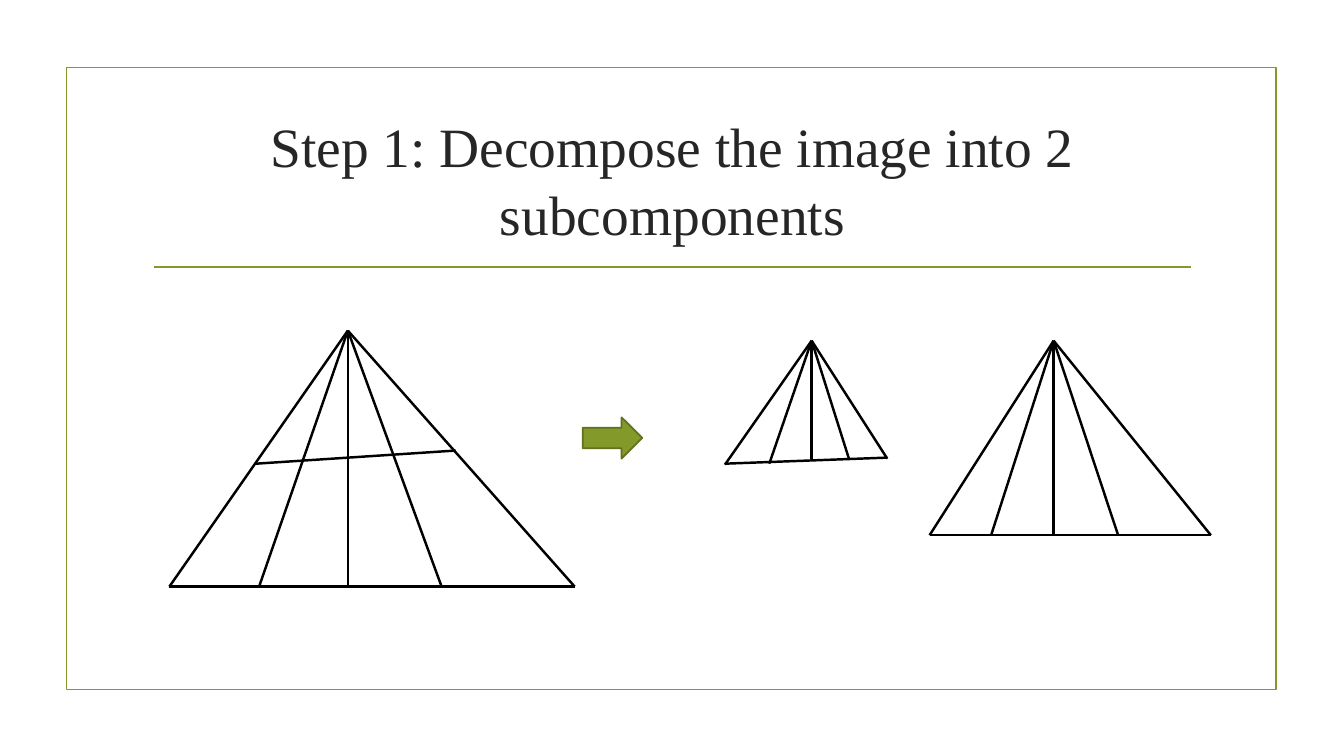
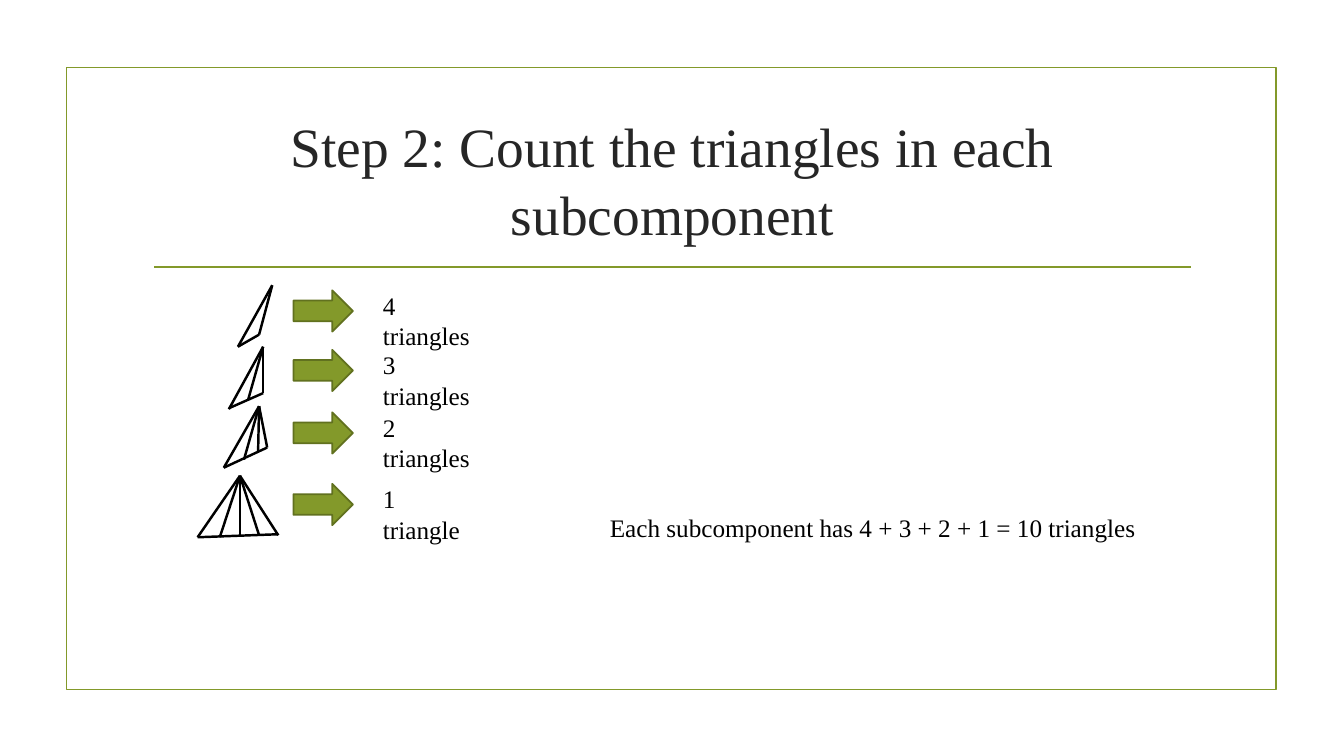
import pptx
import pptx.util
import pptx.dml.color
import pptx.enum.shapes
import pptx.enum.text
import pptx.oxml

PX = 9144  # 100 px to the inch
FONT = "Times New Roman"
HUES = {"green": "83992A", "edge": "61711F", "title": "262626", "ink": "000000"}
HUES = {name: pptx.dml.color.RGBColor.from_string(hue) for name, hue in HUES.items()}
KINDS = pptx.enum.shapes.MSO_SHAPE
STEP = pptx.enum.shapes.MSO_CONNECTOR.STRAIGHT

# A fan is its apex, the feet of its rays, and the line across them.
ROWS = [
    # arrow top, label, label width, fan
    (288, "4 triangles", 120,
     ((270, 283), [(236, 344), (257, 332)], [(236, 344), (257, 332)])),
    (347, "3 triangles", 120,
     ((261, 344), [(227, 406), (246, 397), (261, 390)], [(227, 405), (261, 390)])),
    (409, "2 triangles", 120,
     ((257, 403), [(222, 464), (242, 456), (256, 448), (265, 444)],
      [(222, 464), (265, 444)])),
    (480, "1 triangle", 111,
     ((238, 472), [(196, 533), (218, 533), (238, 531), (257, 531), (276, 531)],
      [(196, 533), (276, 530)])),
]

PAGES = [
    {
        "title": "Step 1: Decompose the image into 2 subcomponents",
        "arrows": [(578, 414)],
        "fans": [
            ((805, 338), [(719, 461), (763, 460), (805, 455), (842, 455), (880, 455)],
             [(719, 460), (880, 454)]),
            ((1045, 338), [(x, 531) for x in (922, 983, 1045, 1109, 1201)],
             [(922, 531), (1201, 531)]),
            ((345, 328), [(x, 582) for x in (168, 257, 345, 438, 570)],
             [(168, 582), (570, 582), (254, 460), (452, 447)]),
        ],
        "notes": [],
    },
    {
        "title": "Step 2: Count the triangles in each subcomponent",
        "arrows": [(291, top) for top, *_ in ROWS],
        "fans": [fan for *_, fan in ROWS],
        "notes": [(label, 370, top - 5, wide) for top, label, wide, _ in ROWS]
        + [("Each subcomponent has 4 + 3 + 2 + 1 = 10 triangles", 595, 503, 545)],
    },
]


def rule(shapes, start, end, hue="ink", width=1.75):
    """Draw a straight line without a shadow."""
    line = shapes.add_connector(STEP, *[n * PX for n in (*start, *end)])
    line.line.color.rgb = HUES[hue]
    line.line.width = pptx.util.Pt(width)
    line._element.spPr.append(pptx.oxml.parse_xml(
        '<a:effectLst xmlns:a="http://schemas.openxmlformats.org/drawingml/2006/main"/>'))


def write(shapes, text, box, size, hue):
    """Add a wrapping text box; return its frame."""
    frame = shapes.add_textbox(*[n * PX for n in box]).text_frame
    frame.word_wrap = True
    para = frame.paragraphs[0]
    para.text = text
    para.font.name = FONT
    para.font.size = pptx.util.Pt(size)
    para.font.color.rgb = HUES[hue]
    return frame


deck = pptx.Presentation()
deck.slide_width = 1333 * PX
deck.slide_height = 750 * PX

for page in PAGES:
    shapes = deck.slides.add_slide(deck.slide_layouts[6]).shapes

    border = shapes.add_shape(KINDS.RECTANGLE, 66 * PX, 67 * PX, 1200 * PX, 617 * PX)
    border.shadow.inherit = False
    border.fill.background()
    border.line.color.rgb = HUES["green"]
    border.line.width = pptx.util.Pt(1.25)
    rule(shapes, (153, 265), (1181, 265), "green", 1.25)

    title = write(shapes, page["title"], (142, 107, 1050, 143), 39.6, "title")
    title.vertical_anchor = pptx.enum.text.MSO_ANCHOR.BOTTOM
    title.paragraphs[0].alignment = pptx.enum.text.PP_ALIGN.CENTER
    title.paragraphs[0].line_spacing = 1.03

    for left, top in page["arrows"]:
        arrow = shapes.add_shape(KINDS.RIGHT_ARROW, left * PX, top * PX, 59 * PX, 41 * PX)
        arrow.shadow.inherit = False
        arrow.fill.solid()
        arrow.fill.fore_color.rgb = HUES["green"]
        arrow.line.color.rgb = HUES["edge"]
        arrow.line.width = pptx.util.Pt(1.25)

    for apex, feet, cross in page["fans"]:
        group = shapes.add_group_shape().shapes
        for foot in feet:
            rule(group, apex, foot)
        for start, end in zip(cross[::2], cross[1::2]):
            rule(group, start, end)

    for text, left, top, wide in page["notes"]:
        write(shapes, text, (left, top, wide, 40), 18, "ink")

deck.save("out.pptx")
